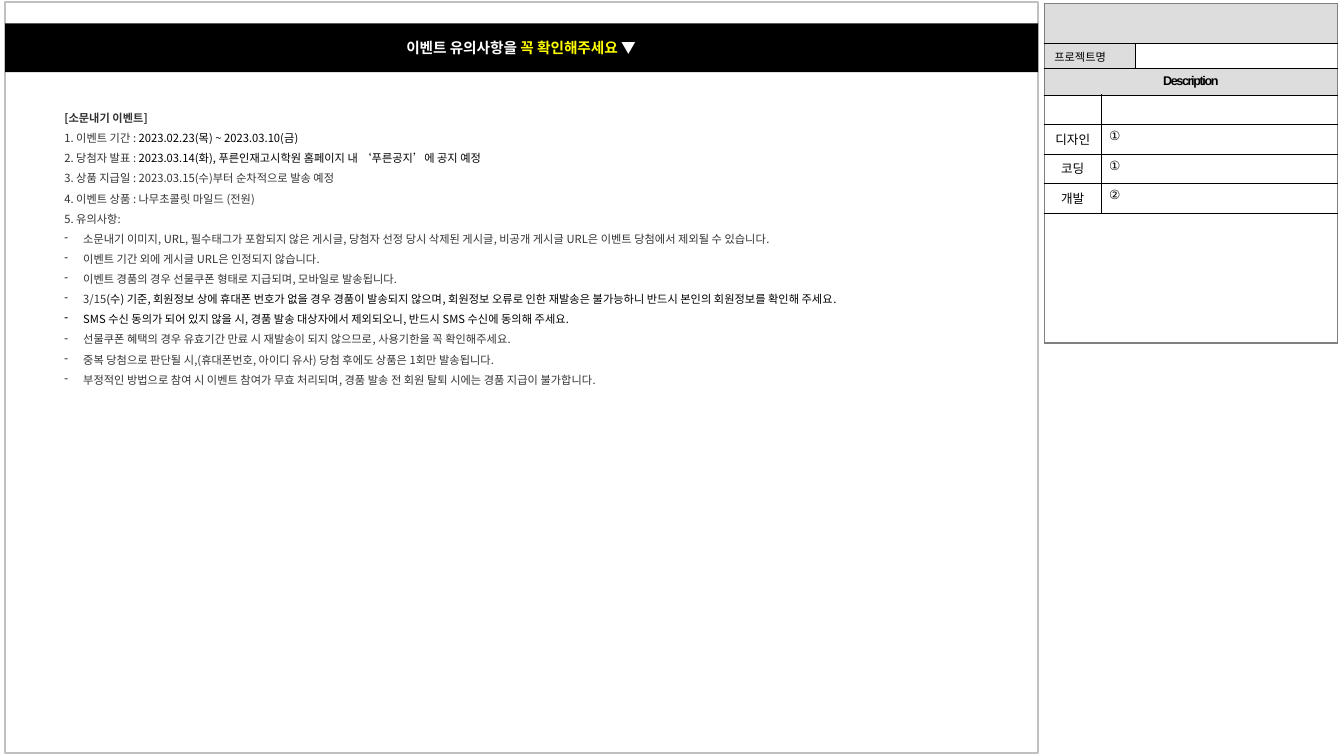
from lxml.etree import SubElement
from pptx import Presentation
from pptx.dml.color import RGBColor
from pptx.enum.shapes import MSO_SHAPE
from pptx.enum.text import MSO_ANCHOR, MSO_AUTO_SIZE, PP_ALIGN
from pptx.oxml.ns import qn
from pptx.util import Pt

COLORS = {
    "black": "000000", "white": "FFFFFF", "yellow": "FFFF00", "text": "333333",
    "frame": "C0C0C0", "edge": "808080", "header": "DDDDDD",
}
KOREAN = "Noto Sans CJK KR"


def color(name):
    return RGBColor.from_string(COLORS[name])


def set_font(para, size, tint, name=KOREAN, bold=False):
    font = para.font
    font.size, font.bold, font.name = Pt(size), bold, name
    font.color.rgb = color(tint)
    defaults = para._p.pPr.find(qn("a:defRPr"))
    SubElement(defaults, qn("a:ea")).set("typeface", name)
    return defaults


deck = Presentation()
deck.slide_width, deck.slide_height = Pt(960), Pt(540)
page = deck.slides.add_slide(deck.slide_layouts[6])

frame = page.shapes.add_shape(MSO_SHAPE.RECTANGLE, Pt(3.6), Pt(1.4), Pt(738), Pt(536.4))
frame.shadow.inherit = False
frame.fill.background()
frame.line.color.rgb = color("frame")
frame.line.width = Pt(1)

banner = page.shapes.add_shape(MSO_SHAPE.RECTANGLE, Pt(3.6), Pt(16.6), Pt(738), Pt(35))
banner.shadow.inherit = False
banner.fill.solid()
banner.fill.fore_color.rgb = color("black")
banner.line.fill.background()

title = page.shapes.add_textbox(Pt(264.2), Pt(24.5), Pt(216), Pt(20))
title.text_frame.word_wrap = True
title.text_frame.auto_size = MSO_AUTO_SIZE.SHAPE_TO_FIT_TEXT
para = title.text_frame.paragraphs[0]
para.alignment = PP_ALIGN.CENTER
set_font(para, 10.5, "white", bold=True)
for text, tint in [("이벤트 유의사항을 ", "white"), ("꼭 확인해주세요", "yellow"), (" ▼", "white")]:
    span = para.add_run()
    span.text = text
    span.font.color.rgb = color(tint)

HEADING, ITEM, DASH = "heading", "item", "dash"
notices = [
    (HEADING, "[소문내기 이벤트]", ""),
    (ITEM, "1. 이벤트 기간 : ", "2023.02.23(목) ~ 2023.03.10(금)"),
    (ITEM, "2. 당첨자 발표 : ", "2023.03.14(화), 푸른인재고시학원 홈페이지 내 ‘푸른공지’에 공지 예정"),
    (ITEM, "3. 상품 지급일 : 2023.03.15(수)부터 순차적으로 발송 예정", ""),
    (ITEM, "4. 이벤트 상품 : 나무초콜릿 마일드 (전원)", ""),
    (ITEM, "5. 유의사항:", ""),
    (DASH, "소문내기 이미지, URL, 필수태그가 포함되지 않은 게시글, 당첨자 선정 당시 삭제된 게시글, "
           "비공개 게시글 URL은 이벤트 당첨에서 제외될 수 있습니다.", ""),
    (DASH, "이벤트 기간 외에 게시글 URL은 인정되지 않습니다.", ""),
    (DASH, "이벤트 경품의 경우 선물쿠폰 형태로 지급되며, 모바일로 발송됩니다.", ""),
    (DASH, "3/15", "(수) 기준, 회원정보 상에 휴대폰 번호가 없을 경우 경품이 발송되지 않으며, "
                   "회원정보 오류로 인한 재발송은 불가능하니 반드시 본인의 회원정보를 확인해 주세요."),
    (DASH, "", "SMS 수신 동의가 되어 있지 않을 시, 경품 발송 대상자에서 제외되오니, "
               "반드시 SMS 수신에 동의해 주세요."),
    (DASH, "선물쿠폰 혜택의 경우 유효기간 만료 시 재발송이 되지 않으므로, 사용기한을 꼭 확인해주세요.", ""),
    (DASH, "중복 당첨으로 판단될 시,(휴대폰번호, 아이디 유사) 당첨 후에도 상품은 1회만 발송됩니다.", ""),
    (DASH, "부정적인 방법으로 참여 시 이벤트 참여가 무효 처리되며, "
           "경품 발송 전 회원 탈퇴 시에는 경품 지급이 불가합니다.", ""),
]
box = page.shapes.add_textbox(Pt(38.9), Pt(71.3), Pt(659.5), Pt(208.8))
box.text_frame.word_wrap = True
box.text_frame.auto_size = MSO_AUTO_SIZE.SHAPE_TO_FIT_TEXT
for index, (kind, plain, strong) in enumerate(notices):
    para = box.text_frame.add_paragraph() if index else box.text_frame.paragraphs[0]
    para.line_spacing = 1.5
    if kind == DASH:
        layout = para._p.get_or_add_pPr()
        layout.set("marL", str(Pt(13.5)))
        layout.set("indent", str(-Pt(13.5)))
        SubElement(layout, qn("a:buChar")).set("char", "-")
    set_font(para, 8, "text", bold=kind == HEADING)
    for text, tint in [(plain, "text"), (strong, "black")]:
        if text:
            span = para.add_run()
            span.text = text
            span.font.color.rgb = color(tint)

widths = [40.6, 24.4, 144.4]
heights = [28.8, 18, 18.6, 21.1, 21.1, 21.1, 21.1, 93]
spans = [[3], [2, 1], [3], [1, 2], [1, 2], [1, 2], [1, 2], [3]]
labels = {
    (1, 0): "프로젝트명", (2, 0): "Description",
    (4, 0): "디자인", (5, 0): "코딩", (6, 0): "개발",
    (4, 1): "①", (5, 1): "①", (6, 1): "②",
}
gray_cells = [(0, 0), (1, 0), (2, 0)]
table = page.shapes.add_table(
    len(heights), len(widths), Pt(745.9), Pt(2.2), Pt(sum(widths)), Pt(sum(heights))).table
table.first_row = table.horz_banding = False
for column, width in zip(table.columns, widths):
    column.width = Pt(width)
for row, height in zip(table.rows, heights):
    row.height = Pt(height)

for row, row_spans in enumerate(spans):
    start = 0
    for count in row_spans:
        cell = table.cell(row, start)
        end = start + count
        if count > 1:
            cell.merge(table.cell(row, end - 1))
        borders = {"L": start == 0, "R": end == len(widths),
                   "T": row == 0, "B": row == len(heights) - 1}
        for side, outer in borders.items():
            line = SubElement(cell._tc.get_or_add_tcPr(), qn("a:ln" + side))
            line.set("w", str(Pt(1 if outer else 0.25)))
            fill = SubElement(line, qn("a:solidFill"))
            SubElement(fill, qn("a:srgbClr")).set("val", COLORS["edge" if outer else "black"])
        cell.fill.solid()
        cell.fill.fore_color.rgb = color("header" if (row, start) in gray_cells else "white")

        text = labels.get((row, start), "")
        para = cell.text_frame.paragraphs[0]
        numbered = row > 3 and start == 1
        cell.vertical_anchor = MSO_ANCHOR.TOP if numbered else MSO_ANCHOR.MIDDLE
        if row > 3:
            cell.margin_left = cell.margin_right = Pt(5.8 if numbered else 2.9)
        if row > 1 and not numbered:
            para.alignment = PP_ALIGN.CENTER
        latin = row == 2 or numbered
        defaults = set_font(para, 8 if row == 1 else 9, "black",
                            "Arial" if latin else KOREAN, bold=row == 2)
        if latin:
            defaults.set("spc", "-100")
        if text:
            para.add_run().text = text
        else:
            SubElement(para._p, qn("a:endParaRPr")).set("sz", "800")
        start = end

deck.save("out.pptx")
